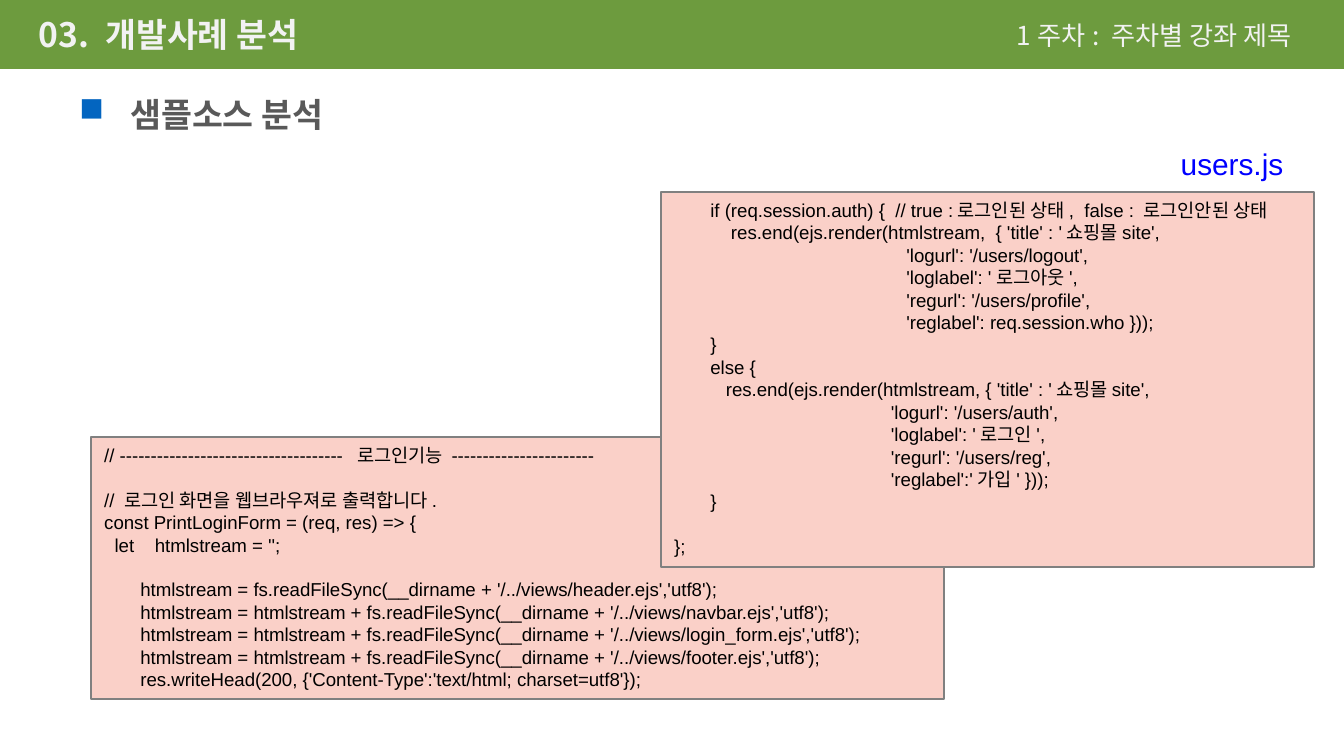
from lxml import etree
from pptx import Presentation
from pptx import util as u
from pptx.dml.color import RGBColor
from pptx.enum import shapes, text
from pptx.oxml import ns

PX = 914400 / 134.4
KOREAN = "Noto Sans CJK KR"


def place(*lengths):
    return [u.Emu(round(length * PX)) for length in lengths]


def style(paragraph, size, name, color, bold=False, spacing=None):
    font = paragraph.font
    font.size = u.Pt(size)
    font.name = name
    font.bold = bold
    font.color.rgb = RGBColor.from_string(color)
    etree.SubElement(font._element, ns.qn("a:ea")).set("typeface", KOREAN)
    if spacing:
        paragraph.line_spacing = spacing


presentation = Presentation()
presentation.slide_width, presentation.slide_height = place(1344, 756)
slide = presentation.slides.add_slide(presentation.slide_layouts[5])

title = slide.shapes.title
title.left, title.top, title.width, title.height = place(31, 17, 723, 42)
title.text_frame.text = "03. 개발사례 분석"
course = slide.shapes.add_textbox(*place(1009, 17, 304, 42))
course.text_frame.text = "1주차: 주차별 강좌 제목"
for shape, size, bold in [(title, 18, True), (course, 14, False)]:
    frame = shape.text_frame
    frame.word_wrap = True
    frame.auto_size = text.MSO_AUTO_SIZE.NONE
    frame.vertical_anchor = text.MSO_ANCHOR.MIDDLE
    frame.margin_left, frame.margin_top, frame.margin_right, frame.margin_bottom = place(8, 8, 8, 8)
    paragraph = frame.paragraphs[0]
    paragraph.alignment = text.PP_ALIGN.LEFT
    style(paragraph, size, KOREAN, "F2F2F2", bold, 0.8)

band = slide.shapes.add_shape(shapes.MSO_SHAPE.RECTANGLE, *place(0, 0, 1344, 69))
band.shadow.inherit = False
band.fill.solid()
band.fill.fore_color.rgb = RGBColor.from_string("6D9B3E")
band.line.fill.background()
slide.shapes._spTree.insert(2, band._element)

heading = slide.shapes.add_textbox(*place(66, 75, 1085, 140))
heading.text_frame.word_wrap = True
heading.text_frame.text = "샘플소스 분석"
paragraph = heading.text_frame.paragraphs[0]
properties = paragraph._p.get_or_add_pPr()
indent = place(51)[0]
properties.set("marL", str(indent))
properties.set("indent", str(-indent))
bullet_color = etree.SubElement(properties, ns.qn("a:buClr"))
etree.SubElement(bullet_color, ns.qn("a:srgbClr")).set("val", "0365C0")
etree.SubElement(properties, ns.qn("a:buChar")).set("char", "■")
style(paragraph, 18, KOREAN, "595959", True, 1.3)

login_code = """\
// ------------------------------------  로그인기능 -----------------------

// 로그인 화면을 웹브라우져로 출력합니다.
const PrintLoginForm = (req, res) => {
  let    htmlstream = '';

       htmlstream = fs.readFileSync(__dirname + '/../views/header.ejs','utf8');
       htmlstream = htmlstream + fs.readFileSync(__dirname + '/../views/navbar.ejs','utf8');
       htmlstream = htmlstream + fs.readFileSync(__dirname + '/../views/login_form.ejs','utf8');
       htmlstream = htmlstream + fs.readFileSync(__dirname + '/../views/footer.ejs','utf8');
       res.writeHead(200, {'Content-Type':'text/html; charset=utf8'});"""

session_code = """\
       if (req.session.auth) {  // true :로그인된 상태,  false : 로그인안된 상태
           res.end(ejs.render(htmlstream,  { 'title' : '쇼핑몰site',
                                             'logurl': '/users/logout',
                                             'loglabel': '로그아웃',
                                             'regurl': '/users/profile',
                                             'reglabel': req.session.who }));
       }
       else {
          res.end(ejs.render(htmlstream, { 'title' : '쇼핑몰site',
                                          'logurl': '/users/auth',
                                          'loglabel': '로그인',
                                          'regurl': '/users/reg',
                                          'reglabel':'가입' }));
       }

};"""

for code, box in [(login_code, (91, 437, 853, 262)), (session_code, (661, 192, 653, 375))]:
    panel = slide.shapes.add_shape(shapes.MSO_SHAPE.RECTANGLE, *place(*box))
    panel.shadow.inherit = False
    panel.fill.solid()
    panel.fill.fore_color.rgb = RGBColor.from_string("FAD0C8")
    panel.line.color.rgb = RGBColor.from_string("808080")
    panel.line.width = u.Pt(0.75)
    frame = panel.text_frame
    frame.word_wrap = True
    frame.vertical_anchor = text.MSO_ANCHOR.TOP
    frame.text = code
    for paragraph in frame.paragraphs:
        paragraph.alignment = text.PP_ALIGN.LEFT
        style(paragraph, 10, "Arial", "000000")

file_label = slide.shapes.add_textbox(*place(1166, 142, 132, 50))
file_label.text_frame.word_wrap = False
file_label.text_frame.vertical_anchor = text.MSO_ANCHOR.MIDDLE
file_label.text_frame.text = "users.js"
paragraph = file_label.text_frame.paragraphs[0]
paragraph.alignment = text.PP_ALIGN.CENTER
style(paragraph, 16, "Arial", "0000FF", spacing=0.8)

presentation.save("out.pptx")
